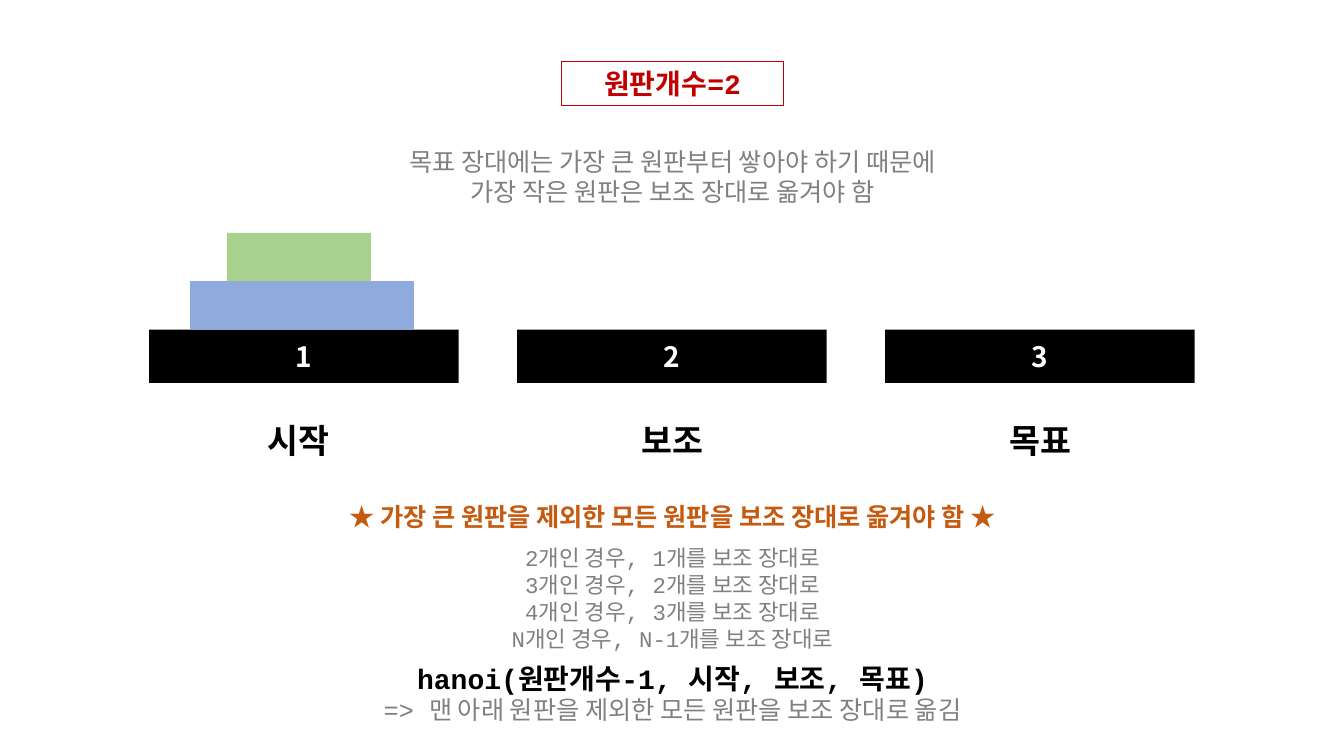
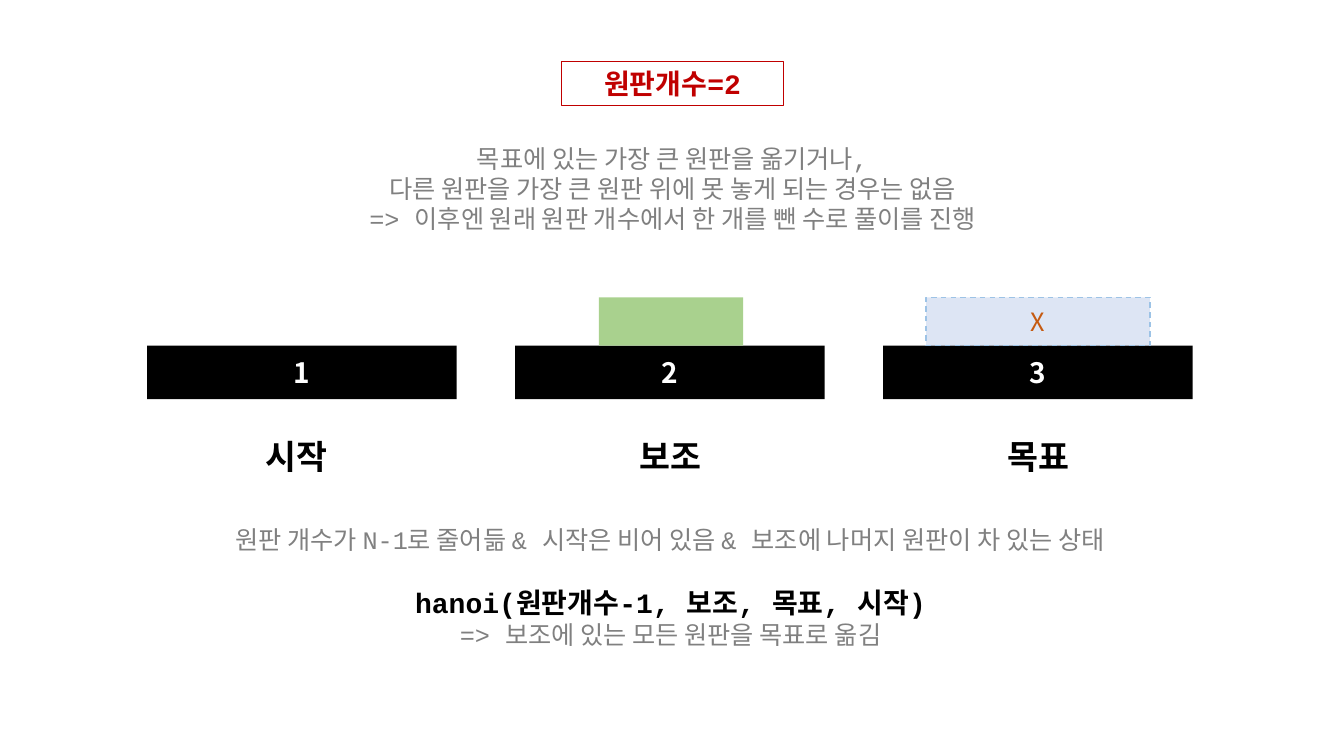
from lxml import etree
from pptx import Presentation
from pptx.dml.color import RGBColor
from pptx.enum.dml import MSO_LINE
from pptx.enum.shapes import MSO_SHAPE
from pptx.enum.text import MSO_ANCHOR, MSO_AUTO_SIZE, PP_ALIGN
from pptx.oxml.ns import qn
from pptx.util import Inches, Pt

RECT = MSO_SHAPE.RECTANGLE
CENTER = PP_ALIGN.CENTER
MIDDLE, TOP = MSO_ANCHOR.MIDDLE, MSO_ANCHOR.TOP
GROW = MSO_AUTO_SIZE.SHAPE_TO_FIT_TEXT
DASH = MSO_LINE.DASH

CODE_FONT, KOREAN_FONT = "Courier New", "Noto Sans CJK KR"
BLACK, WHITE, GREY = "000000", "FFFFFF", "808080"
RED, ORANGE = "C00000", "C55A11"
BLUE, GREEN, PALE_BLUE = "8FAADC", "A9D18E", "9DC3E6"

# Text styles: font, size, colour, bold
NOTE = (CODE_FONT, 18, GREY, False)
CASE = (CODE_FONT, 16, GREY, False)
CALL = (CODE_FONT, 20, BLACK, True)
RULE = (CODE_FONT, 18, ORANGE, True)
TITLE = (CODE_FONT, 20, RED, True)
NUMBER = (KOREAN_FONT, 20, WHITE, True)
ROLE = (KOREAN_FONT, 24, BLACK, True)
CROSS = (KOREAN_FONT, 18, ORANGE, False)

TITLE_TEXT = "원판개수=2"
# Role and its distance from the left edge of the pole
POLES = [("시작", 1.0), ("보조", 1.06), ("목표", 1.06)]
POLE_WIDTH, POLE_HEIGHT, POLE_STEP = 3.07, 0.53, 3.65
ROLE_WIDTH, ROLE_DROP = 0.96, 0.85
DISC_HEIGHT = 0.48
LINE_FACTOR, INSET = 1.2, 0.05

# Discs: pole, level, width, shift from the pole's centre, colour, moved away
# Texts: left, top, width, lines with their styles
STEPS = [
    {
        "poles_at": (1.48, 3.27),
        "discs": [(0, 1, 2.22, -0.02, BLUE, False),
                  (0, 2, 1.43, -0.05, GREEN, False)],
        "texts": [
            (2.71, 1.4, 7.92, [
                ("목표 장대에는 가장 큰 원판부터 쌓아야 하기 때문에", NOTE),
                ("가장 작은 원판은 보조 장대로 옮겨야 함", NOTE)]),
            (2.53, 4.92, 8.28, [
                ("★ 가장 큰 원판을 제외한 모든 원판을 보조 장대로 옮겨야 함 ★", RULE)]),
            (2.71, 5.35, 7.92, [
                ("2개인 경우, 1개를 보조 장대로", CASE),
                ("3개인 경우, 2개를 보조 장대로", CASE),
                ("4개인 경우, 3개를 보조 장대로", CASE),
                ("N개인 경우, N-1개를 보조 장대로", CASE)]),
            (2.53, 6.51, 8.28, [
                ("hanoi(원판개수-1, 시작, 보조, 목표)", CALL),
                ("=> 맨 아래 원판을 제외한 모든 원판을 보조 장대로 옮김", NOTE)]),
        ],
    },
    {
        "poles_at": (1.46, 3.43),
        "discs": [(2, 1, 2.22, 0, BLUE, True),
                  (1, 1, 1.43, 0.01, GREEN, False)],
        "texts": [
            (2.71, 1.37, 7.92, [
                ("목표에 있는 가장 큰 원판을 옮기거나,", NOTE),
                ("다른 원판을 가장 큰 원판 위에 못 놓게 되는 경우는 없음", NOTE),
                ("=> 이후엔 원래 원판 개수에서 한 개를 뺀 수로 풀이를 진행", NOTE)]),
            (1.22, 5.15, 10.85, [
                ("원판 개수가 N-1로 줄어듦 & 시작은 비어 있음 & "
                 "보조에 나머지 원판이 차 있는 상태", NOTE)]),
            (2.85, 5.76, 7.6, [
                ("hanoi(원판개수-1, 보조, 목표, 시작)", CALL),
                ("=> 보조에 있는 모든 원판을 목표로 옮김", NOTE)]),
        ],
    },
]


def color(value):
    """Turn a hex string into a colour."""
    return RGBColor.from_string(value)


def write(box, lines, anchor=TOP):
    """Fill a box with centred, styled lines."""
    frame = box.text_frame
    frame.word_wrap = True
    frame.vertical_anchor = anchor
    for index, (text, (font, size, ink, bold)) in enumerate(lines):
        para = frame.paragraphs[0] if index == 0 else frame.add_paragraph()
        para.text = text
        para.alignment = CENTER
        para.line_spacing = Pt(LINE_FACTOR * size)
        para.font.name, para.font.size = font, Pt(size)
        para.font.bold = bold
        para.font.color.rgb = color(ink)
        defaults = para._p.pPr.find(qn("a:defRPr"))
        etree.SubElement(defaults, qn("a:ea"), typeface=KOREAN_FONT)


def add_text(page, left, top, width, lines):
    """Add a text box as tall as its lines."""
    height = 2 * INSET + sum(LINE_FACTOR * style[1] / 72 for _, style in lines)
    box = page.shapes.add_textbox(
        Inches(left), Inches(top), Inches(width), Inches(height))
    write(box, lines)
    box.text_frame.auto_size = GROW


def add_block(page, left, top, width, height, fill=None):
    """Add a plain rectangle without an outline."""
    block = page.shapes.add_shape(
        RECT, Inches(left), Inches(top), Inches(width), Inches(height))
    block.shadow.inherit = False
    block.line.fill.background()
    if fill:
        block.fill.solid()
        block.fill.fore_color.rgb = color(fill)
    else:
        block.fill.background()
    return block


def mark_moved(disc):
    """Show a disc as pale, dashed and crossed out."""
    tint = disc.fill._xPr.find(qn("a:solidFill"))[0]
    etree.SubElement(tint, qn("a:alpha"), val="30000")
    disc.line.color.rgb = color(PALE_BLUE)
    disc.line.width = Pt(1)
    disc.line.dash_style = DASH
    write(disc, [("X", CROSS)], MIDDLE)


def add_title(page):
    """Add the framed disc count."""
    title = add_block(page, 5.57, 0.61, 2.2, 0.44)
    title.line.color.rgb = color(RED)
    title.line.width = Pt(0.75)
    write(title, [(TITLE_TEXT, TITLE)])
    title.text_frame.auto_size = GROW


def add_poles(page, left, top):
    """Add the three numbered poles with their roles."""
    for index, (role, indent) in enumerate(POLES):
        x = left + index * POLE_STEP
        pole = add_block(page, x, top, POLE_WIDTH, POLE_HEIGHT, BLACK)
        write(pole, [(str(index + 1), NUMBER)], MIDDLE)
        add_text(page, x + indent, top + ROLE_DROP, ROLE_WIDTH, [(role, ROLE)])


def add_disc(page, left, top, pole, level, width, shift, fill, moved):
    """Stack a disc on a pole."""
    x = left + pole * POLE_STEP + (POLE_WIDTH - width) / 2 + shift
    disc = add_block(page, x, top - level * DISC_HEIGHT, width, DISC_HEIGHT, fill)
    if moved:
        mark_moved(disc)


def build():
    """Build and save the deck."""
    deck = Presentation()
    deck.slide_width, deck.slide_height = Inches(13.33), Inches(7.5)
    for step in STEPS:
        page = deck.slides.add_slide(deck.slide_layouts[6])
        add_title(page)
        add_poles(page, *step["poles_at"])
        for disc in step["discs"]:
            add_disc(page, *step["poles_at"], *disc)
        for text in step["texts"]:
            add_text(page, *text)
    deck.save("out.pptx")


build()
